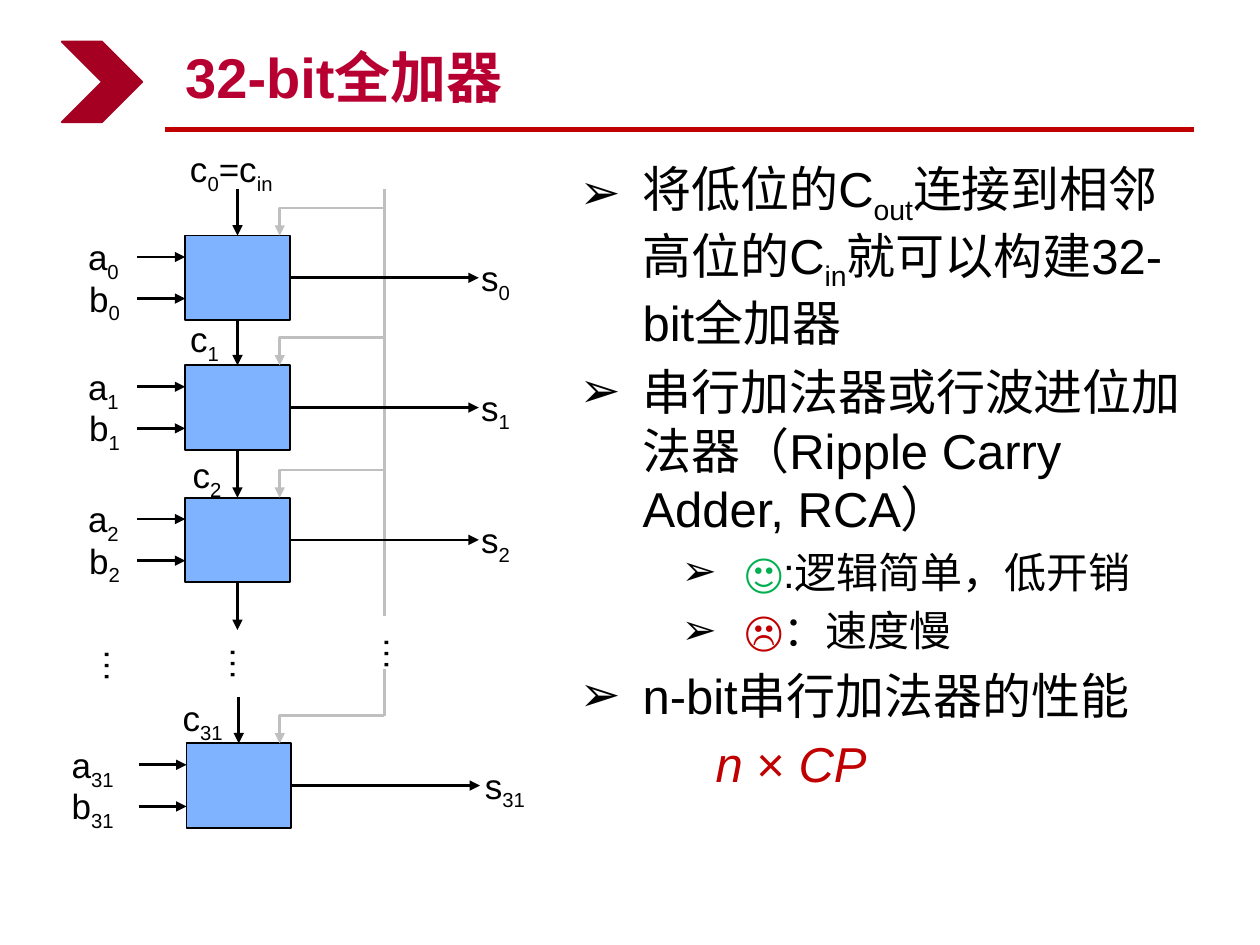
"""Build the 32-bit ripple carry adder slide."""
import pptx
import pptx.util
import pptx.dml.color
import pptx.enum.shapes
import pptx.enum.text
import pptx.oxml.ns
from lxml import etree

Inches = pptx.util.Inches
Pt = pptx.util.Pt
RGBColor = pptx.dml.color.RGBColor
Shape = pptx.enum.shapes.MSO_SHAPE
Link = pptx.enum.shapes.MSO_CONNECTOR
Anchor = pptx.enum.text.MSO_ANCHOR
Fit = pptx.enum.text.MSO_AUTO_SIZE
Align = pptx.enum.text.PP_ALIGN
qn = pptx.oxml.ns.qn

BLACK = RGBColor(0x00, 0x00, 0x00)
GREY = RGBColor(0xBF, 0xBF, 0xBF)
BLUE = RGBColor(0x7F, 0xB3, 0xFF)
RED = RGBColor(0xC0, 0x00, 0x00)
CRIMSON = RGBColor(0xB7, 0x00, 0x31)
MAROON = RGBColor(0xA5, 0x00, 0x21)
GREEN = RGBColor(0x00, 0xB0, 0x50)
BOX_WIDTH, BOX_HEIGHT, CARRY = 0.83, 0.67, 0.37
STAGES = [("0", 1.47, 1.87), ("1", 1.47, 2.9), ("2", 1.47, 3.95), ("31", 1.48, 5.9)]


class SlideBuilder:
    """Hold the style and the current slide."""

    font = {"name": "Arial", "size": Pt(20)}

    def __init__(self, deck):
        """Add a title and content slide."""
        self.slide = deck.slides.add_slide(deck.slide_layouts[1])
        self.shapes = self.slide.shapes

    def place(self, shape, left, top, width, height):
        """Move and size a shape."""
        for name, value in zip(("left", "top", "width", "height"), (left, top, width, height)):
            setattr(shape, name, Inches(value))

    def add_spans(self, para, spans, **extra):
        """Add (text, format) spans, where sub marks a subscript."""
        for text, changes in spans:
            span = para.add_run()
            span.text = text
            values = {**self.font, "color": BLACK, **extra, **changes}
            span.font.color.rgb = values.pop("color")
            if values.pop("sub", False):
                span.font._element.set("baseline", "-25000")
            for name, value in values.items():
                setattr(span.font, name, value)

    def title(self, text):
        """Fill the title placeholder."""
        box = self.shapes.title
        self.place(box, 1.37, 0.25, 8, 0.67)
        box.text_frame.vertical_anchor = Anchor.BOTTOM
        box.text_frame.auto_size = Fit.NONE
        para = box.text_frame.paragraphs[0]
        para.alignment = Align.LEFT
        self.add_spans(para, [(text, {})], size=Pt(32), color=CRIMSON, bold=True)

    def body(self, items):
        """Fill the body placeholder with (level, margin, bullet, spans) items."""
        box = self.slide.placeholders[1]
        self.place(box, 4.5, 1.21, 5.01, 5.96)
        frame = box.text_frame
        frame.auto_size = Fit.NONE
        for index, (level, margin, bullet, spans) in enumerate(items):
            para = frame.add_paragraph() if index else frame.paragraphs[0]
            size = 24 if level else 28
            para.level = level
            para.space_before = Pt(size * 0.2 if index else 0)
            props = para._p.get_or_add_pPr()
            props.set("marL", str(Inches(margin)))
            props.set("indent", str(Inches(-0.5 if bullet else 0)))
            if bullet:
                color = etree.SubElement(props, qn("a:buClr"))
                etree.SubElement(color, qn("a:srgbClr"), val=str(BLACK))
                etree.SubElement(props, qn("a:buFont"), typeface="Arial")
                etree.SubElement(props, qn("a:buChar"), char=bullet)
            else:
                etree.SubElement(props, qn("a:buNone"))
            self.add_spans(para, spans, size=Pt(size))

    def label(self, spans, left, top, width, wrap=True, turn=0):
        """Add a small text label."""
        box = self.shapes.add_textbox(Inches(left), Inches(top), Inches(width), Inches(0.44))
        box.rotation = turn
        box.text_frame.word_wrap = wrap
        self.add_spans(box.text_frame.paragraphs[0], spans)

    def signal(self, letter, number, *spot, **options):
        """Add a signal name with its subscript."""
        self.label([(letter, {}), (number, {"sub": True})], *spot, **options)

    def shape(self, kind, left, top, width, height, fill, line):
        """Add a filled shape."""
        box = self.shapes.add_shape(kind, *map(Inches, (left, top, width, height)))
        box.shadow.inherit = False
        box.fill.solid()
        box.fill.fore_color.rgb = fill
        box.line.color.rgb = line
        box.line.width = Pt(1)
        return box

    def line(self, start, end, color=BLACK, width=1.5, arrow=True, kind=Link.STRAIGHT):
        """Add a connector between two points."""
        wire = self.shapes.add_connector(kind, *map(Inches, (*start, *end)))
        wire.line.color.rgb = color
        wire.line.width = Pt(width)
        etree.SubElement(wire._element.spPr, qn("a:effectLst"))
        if arrow:
            outline = wire._element.spPr.find(qn("a:ln"))
            etree.SubElement(outline, qn("a:tailEnd"), type="triangle")
        return wire

    def elbow(self, start, end):
        """Add a grey arrow that runs left and then down."""
        wire = self.line(start, end, GREY, kind=Link.ELBOW)
        props = wire._element.spPr
        props.find(qn("a:prstGeom")).set("prst", "bentConnector2")
        for name, value in {"rot": "10800000", "flipH": "0", "flipV": "1"}.items():
            props.find(qn("a:xfrm")).set(name, value)

    def stage(self, number, left, top, previous):
        """Add one full adder with its inputs, sum and carry in."""
        box = self.shape(Shape.RECTANGLE, left, top, BOX_WIDTH, BOX_HEIGHT, BLUE, BLACK)
        wide = len(number) > 1
        for letter, drop, shift in (("a", 0.17, 0), ("b", 0.5, 0.01)):
            self.line((left - 0.38, top + drop), (left, top + drop))
            spot = 0.47 if wide else 0.6 + shift
            self.signal(letter, number, spot, top + drop - 0.22, 0.74 if wide else 0.58)
        middle = top + BOX_HEIGHT / 2
        right = left + BOX_WIDTH
        total = self.line((right, middle), (right + 1.5, middle))
        total.begin_connect(box, 3)
        self.signal("s", number, 3.75 if wide else 3.72, middle - 0.22, 0.75)
        center = left + BOX_WIDTH / 2
        carry = self.line((center, top - CARRY), (center, top))
        carry.end_connect(box, 0)
        if previous:
            carry.begin_connect(previous, 2)
        self.elbow((3.05, top - 0.22), (2.22, top))
        return box


def main():
    """Build and save the deck."""
    deck = pptx.Presentation()
    deck.slide_width, deck.slide_height = Inches(10), Inches(7.5)
    page = SlideBuilder(deck)
    page.line((1.31, 1.03), (9.48, 1.03), RED, 3, arrow=False)
    page.shape(Shape.CHEVRON, 0.49, 0.33, 0.64, 0.64, MAROON, MAROON)
    page.title("32-bit全加器")
    sub = {"sub": True}
    red = {"color": RED}
    page.body([
        (0, 0.5, "➢", [("将低位的C", {}), ("out", sub), ("连接到相邻高位的C", {}),
                       ("in", sub), ("就可以构建32-bit全加器", {})]),
        (0, 0.5, "➢", [("串行加法器或行波进位加法器（Ripple Carry Adder, RCA）", {})]),
        (1, 1.31, "➢", [("🙂", {"color": GREEN}), (":逻辑简单，低开销", {})]),
        (1, 1.31, "➢", [("☹", red), ("：速度慢", {})]),
        (0, 0.5, "➢", [("n-bit串行加法器的性能", {})]),
        (0, 1.08, None, [("n ", {**red, "italic": True}), ("× ", red),
                         ("CP", {**red, "italic": True})]),
    ])

    page.line((3.05, 1.5), (3.05, 4.89), GREY, arrow=False)
    page.line((3.05, 5.31), (3.05, 5.68), GREY, arrow=False)
    previous = None
    for number, left, top in STAGES:
        if number == "31":
            center = STAGES[0][1] + BOX_WIDTH / 2
            carry = page.line((center, 4.62), (center, 5))
            carry.begin_connect(previous, 2)
            previous = None
        previous = page.stage(number, left, top, previous)

    page.label([("c", {}), ("0", sub), ("=c", {}), ("in", sub)], 1.41, 1.12, 1.14)
    for number, left, top, width in (("1", 1.41, 2.47, 0.45), ("2", 1.43, 3.55, 0.45),
                                     ("31", 1.35, 5.48, 0.55)):
        page.signal("c", number, left, top, width, wrap=False)
    for left, top in ((1.65, 5.1), (0.65, 5.12), (2.87, 5.02)):
        page.label([("…", {})], left, top, 0.58, turn=90)
    deck.save("out.pptx")


if __name__ == "__main__":
    main()
